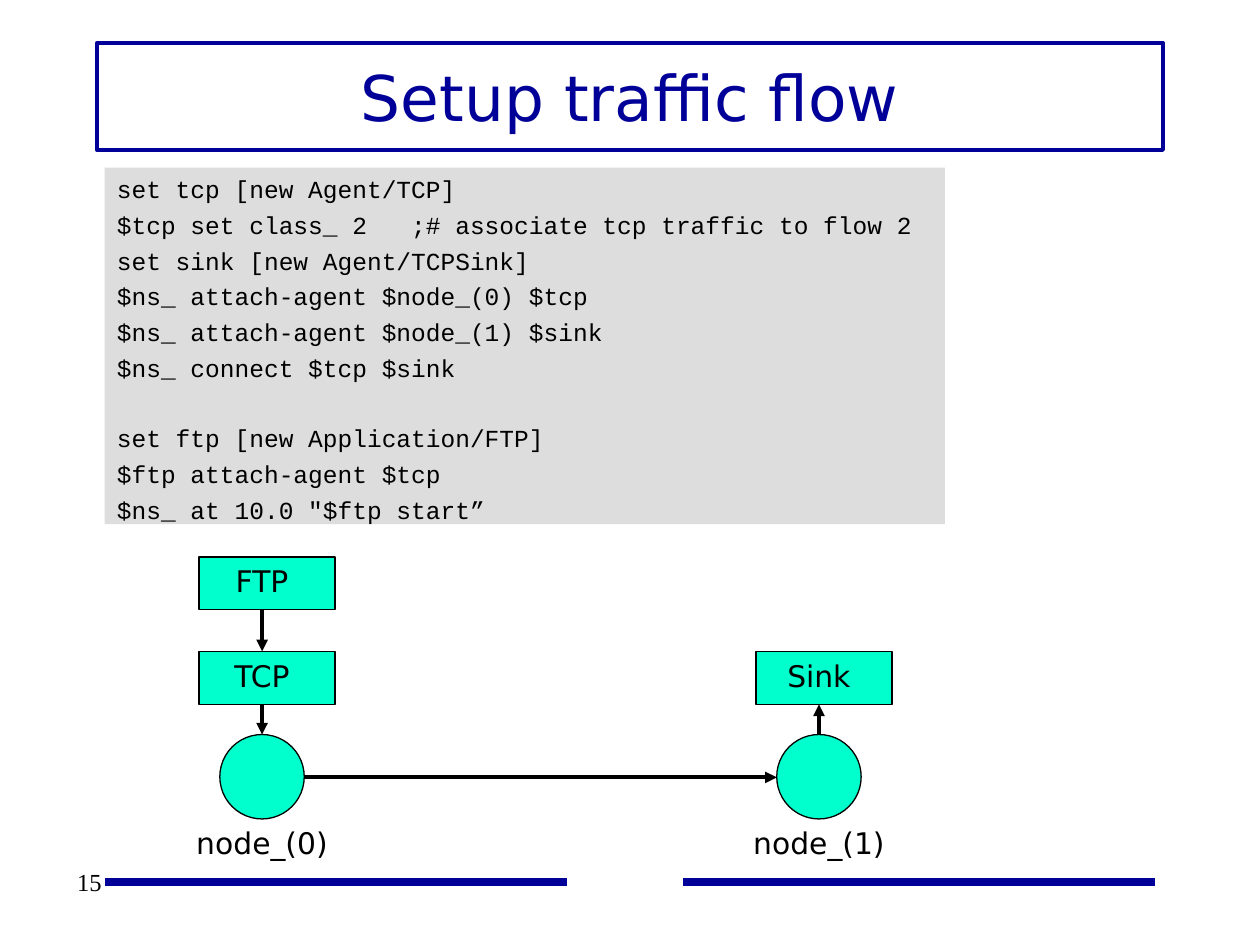
import pptx
import pptx.dml.color
import pptx.enum.shapes
import pptx.enum.text
import pptx.oxml
import pptx.oxml.ns
import pptx.util

Inches = pptx.util.Inches
Pt = pptx.util.Pt
SHAPES = pptx.enum.shapes.MSO_SHAPE
ALIGN = pptx.enum.text.PP_ALIGN
ANCHOR = pptx.enum.text.MSO_ANCHOR

COLORS = {"navy": "000099", "black": "000000", "gray": "DDDDDD", "mint": "00FFCC"}
SANS, MONO, SERIF = "DejaVu Sans", "Courier New", "Times New Roman"
CODE_BLOCKS = [
    [
        "set tcp [new Agent/TCP]",
        "$tcp set class_ 2   ;# associate tcp traffic to flow 2",
        "set sink [new Agent/TCPSink]",
        "$ns_ attach-agent $node_(0) $tcp",
        "$ns_ attach-agent $node_(1) $sink",
        "$ns_ connect $tcp $sink",
    ],
    [
        "set ftp [new Application/FTP]",
        "$ftp attach-agent $tcp",
        '$ns_ at 10.0 "$ftp start”',
    ],
]


def color(name):
    """Return the named palette colour."""
    return pptx.dml.color.RGBColor.from_string(COLORS[name])


def add_box(slide, kind, left, top, width, height, fill=None, line=None, weight=0.75):
    """Add a preset shape with the given fill and outline."""
    box = slide.shapes.add_shape(kind, Inches(left), Inches(top), Inches(width), Inches(height))
    box.shadow.inherit = False
    if fill:
        box.fill.solid()
        box.fill.fore_color.rgb = color(fill)
    else:
        box.fill.background()
    if line:
        box.line.color.rgb = color(line)
        box.line.width = Pt(weight)
    else:
        box.line.fill.background()
    return box


def add_span(para, text, size, font, ink="black", align=ALIGN.CENTER):
    """Add one formatted run to a paragraph."""
    para.alignment = align
    span = para.add_run()
    span.text = text
    span.font.size = Pt(size)
    span.font.name = font
    span.font.color.rgb = color(ink)


def add_label(slide, text, left, top, width, height, size=17, font=SANS):
    """Add a centred text box."""
    box = slide.shapes.add_textbox(Inches(left), Inches(top), Inches(width), Inches(height))
    box.text_frame.word_wrap = True
    add_span(box.text_frame.paragraphs[0], text, size, font)


def add_line(slide, start, end, ink="black", weight=2.25, arrow=True):
    """Add a straight line, with an arrowhead at its end if wanted."""
    points = [Inches(value) for value in (*start, *end)]
    line = slide.shapes.add_connector(pptx.enum.shapes.MSO_CONNECTOR.STRAIGHT, *points)
    line.line.color.rgb = color(ink)
    line.line.width = Pt(weight)
    if arrow:
        head = pptx.oxml.parse_xml(f'<a:tailEnd {pptx.oxml.ns.nsdecls("a")} type="triangle"/>')
        line.line._get_or_add_ln().append(head)
    effects = pptx.oxml.parse_xml(f'<a:effectLst {pptx.oxml.ns.nsdecls("a")}/>')
    line._element.spPr.append(effects)


def add_title(slide, left, top, width, height):
    """Add the framed slide title."""
    box = add_box(slide, SHAPES.RECTANGLE, left, top, width, height, line="navy", weight=2.25)
    box.text_frame.vertical_anchor = ANCHOR.MIDDLE
    add_span(box.text_frame.paragraphs[0], "Setup traffic flow", 36, SANS, "navy")


def add_code(slide, left, top, width, height):
    """Add the code panel, with a one-line gap between blocks."""
    frame = add_box(slide, SHAPES.RECTANGLE, left, top, width, height, fill="gray").text_frame
    frame.word_wrap = True
    frame.vertical_anchor = ANCHOR.TOP
    for block_index, block in enumerate(CODE_BLOCKS):
        for line_index, text in enumerate(block):
            first = block_index == line_index == 0
            para = frame.paragraphs[0] if first else frame.add_paragraph()
            para.space_before = Pt(23.3 if block_index and not line_index else 3.7)
            add_span(para, text, 14, MONO, align=ALIGN.LEFT)


def add_node(slide, center, top, agents, name, outgoing):
    """Add a stack of agent boxes over a named node, joined by arrows."""
    box_width, box_height, pitch, diameter, label_width = 1.08, 0.42, 0.75, 0.67, 1.33
    node_top = top + pitch * (len(agents) - 1) + 0.66
    for index, agent in enumerate(agents):
        box_top = top + pitch * index
        add_box(slide, SHAPES.RECTANGLE, center - 0.5, box_top, box_width, box_height,
                "mint", "black")
        add_label(slide, agent, center - label_width / 2, box_top, label_width, 0.38)
        below = box_top + pitch if index < len(agents) - 1 else node_top
        ends = [(center, box_top + box_height), (center, below)]
        add_line(slide, *(ends if outgoing else reversed(ends)))
    add_box(slide, SHAPES.OVAL, center - diameter / 2, node_top, diameter, diameter,
            "mint", "black")
    add_label(slide, name, center - label_width / 2, node_top + diameter, label_width, 0.38)


def add_flow(slide, left, top, width):
    """Add the source and sink nodes and the link between them."""
    right, middle, radius = left + width, top + 1.75, 0.335
    add_node(slide, left, top, ["FTP", "TCP"], "node_(0)", outgoing=True)
    add_node(slide, right, top + 0.75, ["Sink"], "node_(1)", outgoing=False)
    add_line(slide, (left + radius, middle), (right - radius, middle))


def add_footer(slide, top):
    """Add the two footer bars and the page number."""
    for start, end in [(0.83, 4.5), (5.42, 9.17)]:
        add_line(slide, (start, top), (end, top), "navy", 4.5, arrow=False)
    add_label(slide, "15", 0.42, top - 0.17, 0.58, 0.33, 14, SERIF)


def main():
    """Build the slide and save the deck."""
    deck = pptx.Presentation()
    deck.slide_width, deck.slide_height = Inches(10), Inches(7.5)
    slide = deck.slides.add_slide(deck.slide_layouts[6])
    add_footer(slide, 7)
    add_title(slide, 0.77, 0.34, 8.46, 0.85)
    add_code(slide, 0.83, 1.33, 6.67, 2.83)
    add_flow(slide, 2.08, 4.42, 4.42)
    deck.save("out.pptx")


if __name__ == "__main__":
    main()
